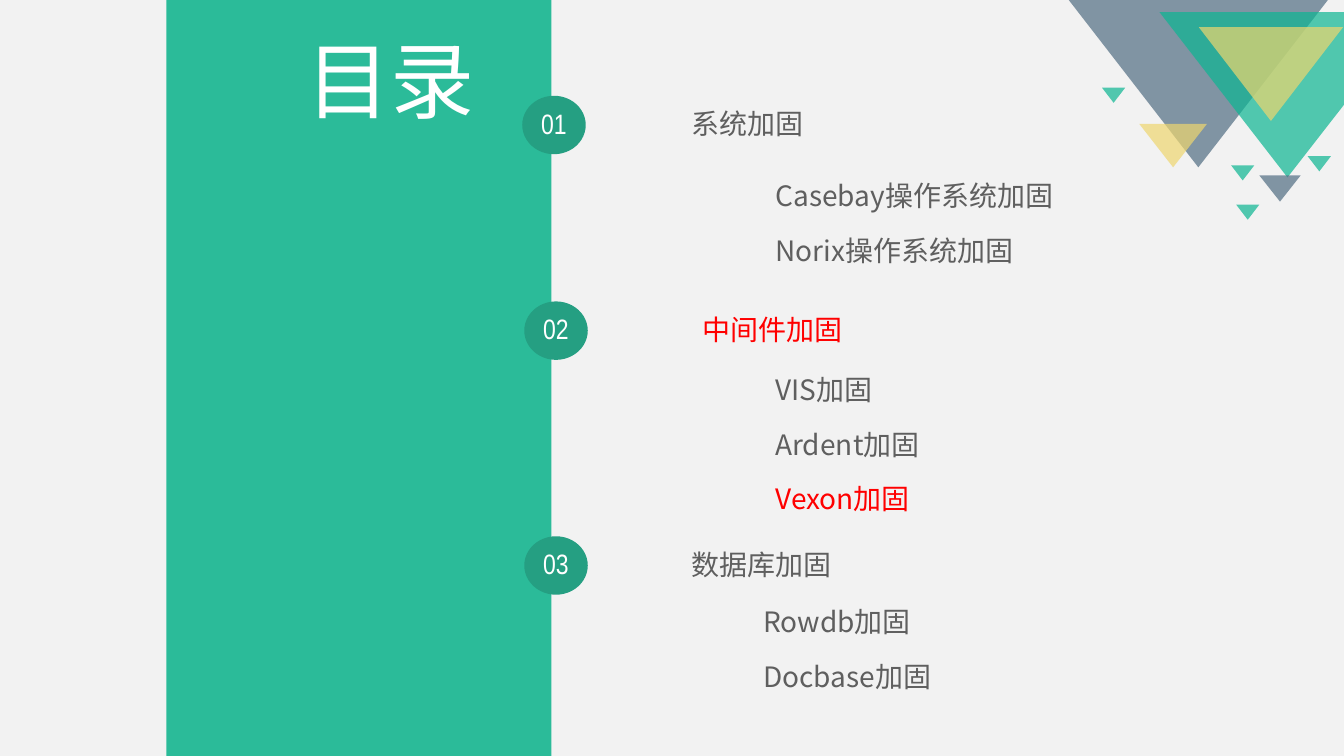
from typing import NamedTuple

from lxml import etree
from pptx import Presentation
from pptx.dml.color import RGBColor
from pptx.enum.shapes import MSO_SHAPE
from pptx.enum.text import MSO_ANCHOR, MSO_AUTO_SIZE, PP_ALIGN
from pptx.oxml.ns import qn
from pptx.util import Inches, Pt

RECT, OVAL = MSO_SHAPE.RECTANGLE, MSO_SHAPE.OVAL
TRIANGLE = MSO_SHAPE.ISOSCELES_TRIANGLE
MIDDLE, NO_FIT = MSO_ANCHOR.MIDDLE, MSO_AUTO_SIZE.NONE
LEFT, CENTER = PP_ALIGN.LEFT, PP_ALIGN.CENTER

COLORS = {
    "page": "F2F2F2", "panel": "2BBB99", "badge": "259F82", "white": "FFFFFF",
    "text": "5F5F5F", "current": "FF0000",
    "slate": "516D82", "teal": "0CB692", "yellow": "EED66F",
}
NARROW, CJK = "Arial Narrow", "Noto Sans CJK SC"
COMPARISON_LAYOUT = 4
ITEM_GAP = 17.5


class Triangle(NamedTuple):
    left: float
    top: float
    width: float
    height: float
    color: str


class Section(NamedTuple):
    number: str
    heading: str
    badge_left: float
    text_left: float
    top: float
    list_left: float
    list_top: float
    list_height: float
    items: tuple[str, ...]
    current: tuple[str, ...] = ()


BIG_TRIANGLE = Triangle(10.6, 0, 2.57, 1.66, "slate")
CLIPPED_OUTLINE = [(11.5, 0.12), (13.33, 0.12), (13.33, 1.04), (12.77, 1.76)]
SMALL = (0.23, 0.15)
TRIANGLES = [
    Triangle(11.89, 0.27, 1.43, 0.93, "yellow"),
    Triangle(11.3, 1.23, 0.67, 0.43, "yellow"),
    Triangle(12.97, 1.55, *SMALL, "teal"),
    Triangle(12.26, 2.03, *SMALL, "teal"),
    Triangle(12.21, 1.64, *SMALL, "teal"),
    Triangle(12.49, 1.74, 0.41, 0.26, "slate"),
    Triangle(10.93, 0.87, *SMALL, "teal"),
]
SECTIONS = [
    Section("01", "系统加固", 5.18, 6.76, 0.95, 7.59, 1.73, 1.01,
            ("Casebay操作系统加固", "Norix操作系统加固")),
    Section("02", "中间件加固", 5.2, 6.87, 2.99, 7.59, 3.58, 1.69,
            ("VIS加固", "Ardent加固", "Vexon加固"), ("中间件加固", "Vexon加固")),
    Section("03", "数据库加固", 5.2, 6.76, 5.32, 7.47, 5.95, 1.01,
            ("Rowdb加固", "Docbase加固")),
]


def rgb(name: str) -> RGBColor:
    return RGBColor.from_string(COLORS[name])


def paint(sp, color: str, alpha: int = 100) -> None:
    sp.shadow.inherit = False
    sp.line.fill.background()
    sp.fill.solid()
    sp.fill.fore_color.rgb = rgb(color)
    if alpha < 100:
        clr = sp._element.spPr.find(qn("a:solidFill"))[0]
        etree.SubElement(clr, qn("a:alpha"), val=str(alpha * 1000))


def add_shape(kind, left: float, top: float, width: float, height: float,
              color: str, alpha: int = 100):
    sp = shapes.add_shape(kind, Inches(left), Inches(top), Inches(width), Inches(height))
    paint(sp, color, alpha)
    return sp


def add_triangle(t: Triangle) -> None:
    add_shape(TRIANGLE, *t, alpha=70).rotation = 180


def place(sp, left: float, top: float, width: float, height: float) -> None:
    sp.left, sp.top = Inches(left), Inches(top)
    sp.width, sp.height = Inches(width), Inches(height)


def write(sp, *lines: str, size: int = 20, font: str = CJK, color: str = "text",
          align=LEFT, gap: float = 0, current: tuple[str, ...] = ()) -> None:
    tf = sp.text_frame
    tf.word_wrap, tf.auto_size, tf.vertical_anchor = True, NO_FIT, MIDDLE
    for i, line in enumerate(lines):
        p = tf.add_paragraph() if i else tf.paragraphs[0]
        p.alignment, p.line_spacing = align, 0.9
        p.space_before, p.space_after = Pt(gap if i else 0), Pt(0)
        pPr = p._p.get_or_add_pPr()
        pPr.set("marL", "0")
        pPr.set("indent", "0")
        etree.SubElement(pPr, qn("a:buNone"))
        r = p.add_run()
        r.text = line
        r.font.size, r.font.name, r.font.bold = Pt(size), font, False
        r.font.color.rgb = rgb("current" if line in current else color)
        etree.SubElement(r._r.get_or_add_rPr(), qn("a:ea"), typeface=CJK)


def add_section(s: Section, body) -> None:
    badge = add_shape(OVAL, s.badge_left, s.top, 0.63, 0.58, "badge")
    tf = badge.text_frame
    tf.margin_left = tf.margin_right = tf.margin_top = tf.margin_bottom = 0
    write(badge, s.number, font=NARROW, color="white", align=CENTER)

    heading = shapes.add_textbox(Inches(s.text_left), Inches(s.top),
                                 Inches(4.31), Inches(0.59))
    write(heading, s.heading, current=s.current)

    place(body, s.list_left, s.list_top, 4.63, s.list_height)
    write(body, *s.items, gap=ITEM_GAP, current=s.current)


prs = Presentation()
prs.slide_width, prs.slide_height = Inches(13.33), Inches(7.5)
slide = prs.slides.add_slide(prs.slide_layouts[COMPARISON_LAYOUT])
shapes = slide.shapes
slide.background.fill.solid()
slide.background.fill.fore_color.rgb = rgb("page")

# Corner triangles
add_triangle(BIG_TRIANGLE)
points = [(Inches(x), Inches(y)) for x, y in CLIPPED_OUTLINE]
builder = shapes.build_freeform(*points[0])
builder.add_line_segments(points[1:], close=True)
paint(builder.convert_to_shape(), "teal", alpha=70)
for triangle in TRIANGLES:
    add_triangle(triangle)

# Green panel with the title in front of it
add_shape(RECT, 1.65, 0, 3.82, 7.5, "panel")
title = shapes.title
place(title, 2.94, 0.27, 1.9, 1.16)
write(title, "目录", size=60, font=NARROW, color="white")
shapes._spTree.append(title._element)

# Sections: badge, heading and list
*bodies, spare = [sp for sp in slide.placeholders if sp.placeholder_format.idx in range(1, 5)]
spare._element.getparent().remove(spare._element)
for section, body in zip(SECTIONS, bodies):
    add_section(section, body)

prs.save("out.pptx")
